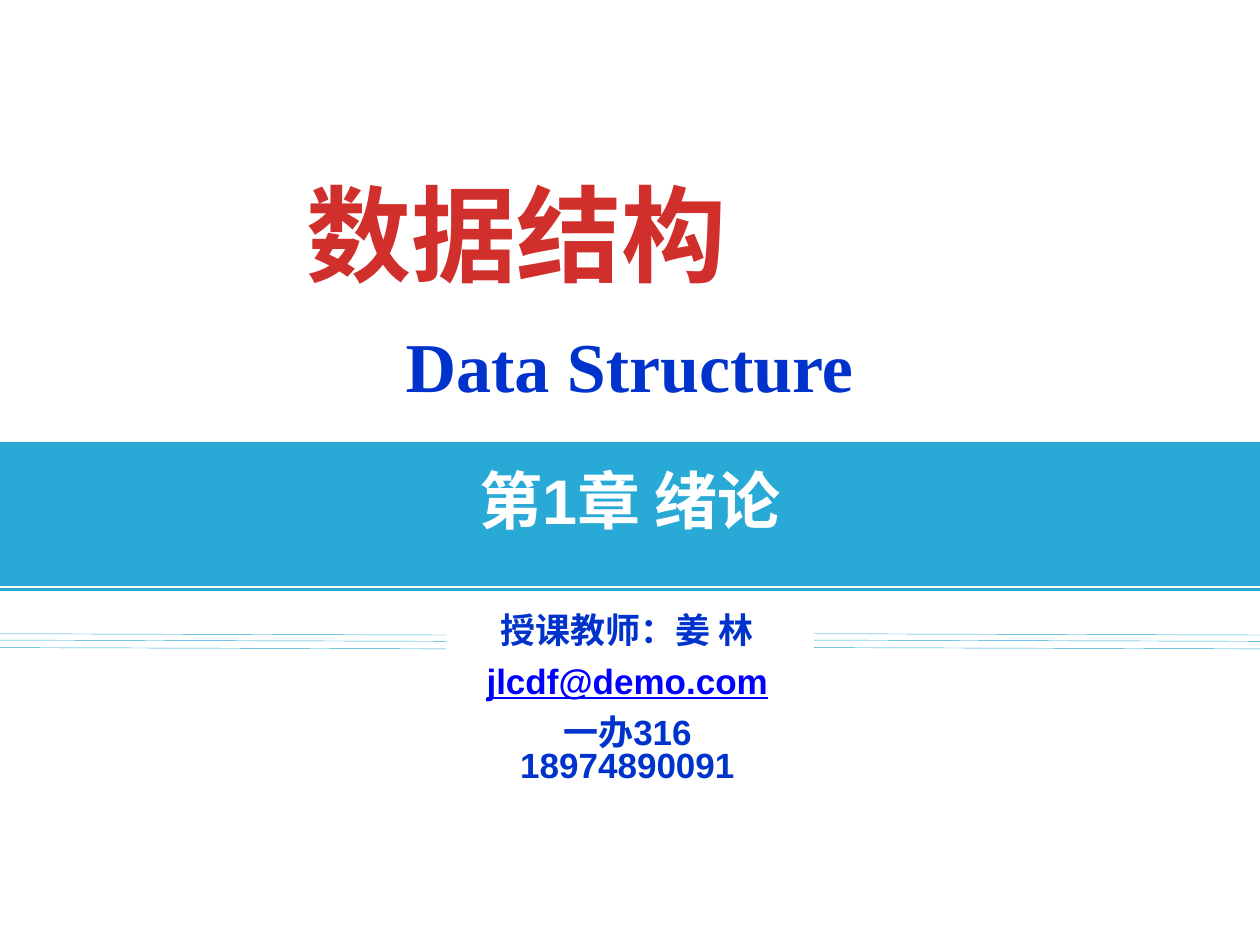
from pptx import Presentation
from pptx.dml.color import RGBColor
from pptx.enum.shapes import MSO_CONNECTOR, MSO_SHAPE
from pptx.enum.text import MSO_ANCHOR, MSO_AUTO_SIZE, PP_ALIGN
from pptx.util import Inches, Pt
from lxml.etree import SubElement
from pptx.oxml.ns import qn

# Content
COURSE = "数据结构"
COURSE_ENGLISH = "Data Structure"
CHAPTER = "第1章 绪论"
BAND, NAVY, LINK, RED, WHITE = "28A9D6", "0033CC", "0000FF", "D02F2C", "FFFFFF"
CONTACT = [
    ("授课教师：姜 林", NAVY, False),
    ("jlcdf@demo.com", LINK, True),
    ("一办316 18974890091", NAVY, False),
]
RULE_LEFTS = (0, 6.46)
RULE_TOPS = (5.03, 5.08, 5.14)
RULE_WIDTH, RULE_DROP = 3.54, 0.01


def color(value):
    return RGBColor.from_string(value)


def add_line(slide, start, end, width):
    line = slide.shapes.add_connector(
        MSO_CONNECTOR.STRAIGHT, *(Inches(v) for v in (*start, *end)))
    line.line.color.rgb = color(BAND)
    line.line.width = Pt(width)
    SubElement(line.element.spPr, qn("a:effectLst"))


def write(shape, lines, size, font="Arial", align=PP_ALIGN.CENTER,
          wrap=True, insets=(0.1, 0.05)):
    frame = shape.text_frame
    frame.word_wrap = wrap
    frame.auto_size = MSO_AUTO_SIZE.NONE
    frame.vertical_anchor = MSO_ANCHOR.TOP
    frame.margin_left = frame.margin_right = Inches(insets[0])
    frame.margin_top = frame.margin_bottom = Inches(insets[1])
    for index, (text, text_color, underline) in enumerate(lines):
        paragraph = frame.add_paragraph() if index else frame.paragraphs[0]
        paragraph.alignment = align
        paragraph.line_spacing = 0.8
        paragraph.space_before = Pt(size / 2 if index else 0)
        run = paragraph.add_run()
        run.text = text
        run.font.name = font
        run.font.size = Pt(size)
        run.font.bold = True
        run.font.underline = underline
        run.font.color.rgb = color(text_color)


def add_text(slide, box, lines, size, **style):
    shape = slide.shapes.add_textbox(*(Inches(v) for v in box))
    write(shape, lines, size, **style)


presentation = Presentation()
presentation.slide_width, presentation.slide_height = Inches(10), Inches(7.5)
slide = presentation.slides.add_slide(presentation.slide_layouts[5])

# Band and the rule below it
band = slide.shapes.add_shape(
    MSO_SHAPE.RECTANGLE, 0, Inches(3.51), Inches(10), Inches(1.14))
band.shadow.inherit = False
band.fill.solid()
band.fill.fore_color.rgb = color(BAND)
band.line.fill.background()
add_line(slide, (0, 4.68), (10, 4.68), 1.5)

# Thin rules on both sides of the contact details
for left in RULE_LEFTS:
    for top in RULE_TOPS:
        add_line(slide, (left, top), (left + RULE_WIDTH, top + RULE_DROP), 0.25)

# Title
title = slide.shapes.title
title.left, title.top = Inches(2.33), Inches(1.49)
title.width, title.height = Inches(5.28), Inches(0.91)
write(title, [(COURSE, RED, False)], 60, align=PP_ALIGN.JUSTIFY)

# Other text
add_text(slide, (3.1, 2.64, 3.79, 0.64), [(COURSE_ENGLISH, NAVY, False)], 40,
         font="Times New Roman", wrap=False)
add_text(slide, (2.36, 3.73, 5.28, 0.71), [(CHAPTER, WHITE, False)], 36)
add_text(slide, (3.58, 4.85, 2.8, 1.49), CONTACT, 20, insets=(0.08, 0.04))

presentation.save("out.pptx")
